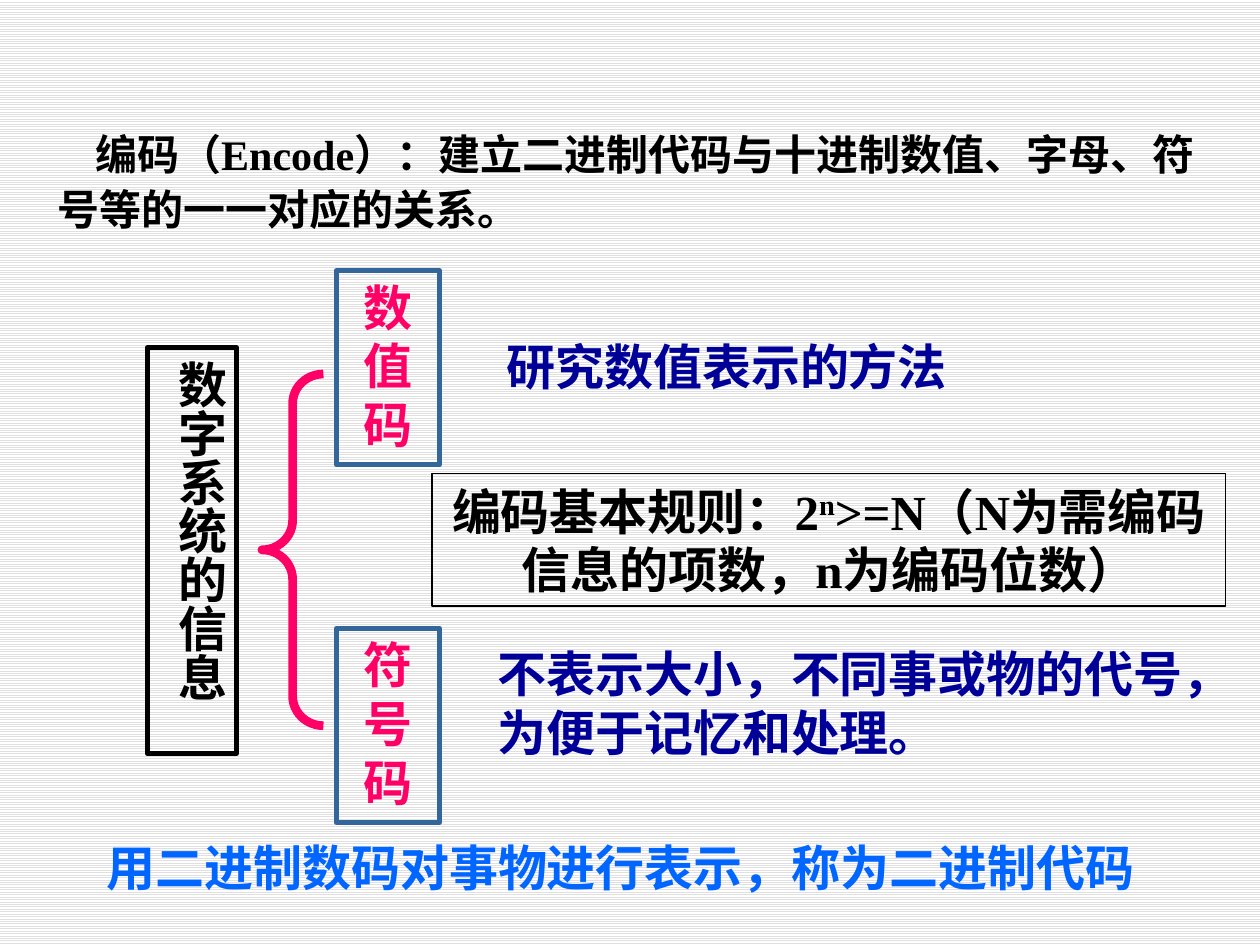
from dataclasses import dataclass
from typing import Optional

from pptx import Presentation
from pptx.dml.color import RGBColor
from pptx.enum.dml import MSO_PATTERN
from pptx.enum.shapes import MSO_SHAPE
from pptx.enum.text import MSO_ANCHOR, MSO_AUTO_SIZE, PP_ALIGN
from pptx.util import Cm, Pt

BLACK = RGBColor(0x00, 0x00, 0x00)
WHITE = RGBColor(0xFF, 0xFF, 0xFF)
STRIPE = RGBColor(0xE0, 0xE0, 0xE0)
PINK = RGBColor(0xFF, 0x00, 0x66)
STEEL = RGBColor(0x33, 0x66, 0x99)
NAVY = RGBColor(0x00, 0x00, 0x99)
BLUE = RGBColor(0x00, 0x66, 0xFF)

SERIF = "Times New Roman"
SANS = "Arial"
CHINESE = "Noto Sans CJK SC"
BODY = "Lato"


@dataclass(frozen=True)
class Area:
    left: float
    top: float
    width: float
    height: float

    def lengths(self) -> tuple:
        return Cm(self.left), Cm(self.top), Cm(self.width), Cm(self.height)


@dataclass(frozen=True)
class Piece:
    text: str
    font: Optional[str] = None
    superscript: bool = False


@dataclass(frozen=True)
class Frame:
    area: Area
    pieces: tuple[Piece, ...]
    color: RGBColor
    border: RGBColor
    border_width: float = 3
    vertical: bool = False
    anchor: MSO_ANCHOR = MSO_ANCHOR.TOP


@dataclass(frozen=True)
class Note:
    area: Area
    pieces: tuple[Piece, ...]
    color: RGBColor
    font: str
    size: float = 28
    indent: float = 0
    line_spacing: float = 1.0


CODE_LEFT, CODE_WIDTH, CODE_HEIGHT = 6.78, 2.08, 3.91

FRAMES = (
    Frame(Area(2.97, 7.01, 1.8, 8.18), (Piece("数字系统的信息"),), BLACK, BLACK, vertical=True),
    Frame(Area(CODE_LEFT, 5.46, CODE_WIDTH, CODE_HEIGHT), (Piece("数值码"),), PINK, STEEL),
    Frame(Area(CODE_LEFT, 12.67, CODE_WIDTH, CODE_HEIGHT), (Piece("符号码"),), PINK, STEEL),
    Frame(
        Area(8.71, 9.55, 16, 2.67),
        (
            Piece("编码基本规则：2"),
            Piece("n", superscript=True),
            Piece(">=N（N为需编码信息的项数，n为编码位数）"),
        ),
        BLACK,
        BLACK,
        border_width=0.75,
        anchor=MSO_ANCHOR.MIDDLE,
    ),
)

NOTES = (
    Note(
        Area(0.91, 2.36, 23.7, 2.49),
        (
            Piece("编码（"),
            Piece("Encode", SERIF),
            Piece("）："),
            Piece("建立二进制代码与十进制数值、字母、符号等的一一对应的关系。", BODY),
        ),
        BLACK,
        CHINESE,
        size=24,
        indent=0.76,
        line_spacing=1.1,
    ),
    Note(Area(9.96, 6.65, 10.13, 1.45), (Piece("研究数值表示的方法"),), NAVY, CHINESE),
    Note(
        Area(9.78, 12.85, 14.48, 2.62),
        (Piece("不表示大小，不同事或物的代号，为便于记忆和处理。"),),
        NAVY,
        SANS,
    ),
    Note(
        Area(1.9, 16.76, 21.59, 1.45),
        (Piece("用二进制数码对事物进行表示，称为二进制代码"),),
        BLUE,
        SANS,
    ),
)


def write(paragraph, pieces: tuple[Piece, ...], font: str, size: float, color: RGBColor) -> None:
    for piece in pieces:
        run = paragraph.add_run()
        run.text = piece.text
        if piece.font:
            run.font.name = piece.font
        if piece.superscript:
            run._r.get_or_add_rPr().set("baseline", "30000")
    paragraph.font.name = font
    paragraph.font.size = Pt(size)
    paragraph.font.bold = True
    paragraph.font.color.rgb = color


def add_outline(slide, kind: MSO_SHAPE, area: Area, color: RGBColor, width: float):
    shape = slide.shapes.add_shape(kind, *area.lengths())
    shape.shadow.inherit = False
    shape.fill.background()
    shape.line.color.rgb = color
    shape.line.width = Pt(width)
    return shape


def add_frame(slide, frame: Frame) -> None:
    shape = add_outline(slide, MSO_SHAPE.RECTANGLE, frame.area, frame.border, frame.border_width)
    text_frame = shape.text_frame
    text_frame.word_wrap = True
    text_frame.auto_size = MSO_AUTO_SIZE.SHAPE_TO_FIT_TEXT
    text_frame.vertical_anchor = frame.anchor
    if frame.vertical:
        text_frame._txBody.bodyPr.set("vert", "eaVert")
    paragraph = text_frame.paragraphs[0]
    paragraph.alignment = PP_ALIGN.CENTER
    write(paragraph, frame.pieces, SERIF, 28, frame.color)


def add_note(slide, note: Note) -> None:
    text_frame = slide.shapes.add_textbox(*note.area.lengths()).text_frame
    text_frame.word_wrap = True
    text_frame.auto_size = MSO_AUTO_SIZE.SHAPE_TO_FIT_TEXT
    paragraph = text_frame.paragraphs[0]
    paragraph.line_spacing = note.line_spacing
    if note.indent:
        paragraph._p.get_or_add_pPr().set("indent", str(Cm(note.indent)))
    write(paragraph, note.pieces, note.font, note.size, note.color)


def main() -> None:
    presentation = Presentation()
    presentation.slide_width = Cm(25.4)
    presentation.slide_height = Cm(19.05)
    slide = presentation.slides.add_slide(presentation.slide_layouts[6])

    background = slide.background.fill
    background.patterned()
    background.pattern = MSO_PATTERN.LIGHT_HORIZONTAL
    background.fore_color.rgb = STRIPE
    background.back_color.rgb = WHITE

    brace = add_outline(slide, MSO_SHAPE.LEFT_BRACE, Area(5.28, 7.54, 1.24, 7.09), PINK, 5)
    brace.adjustments[0] = 0.48
    brace.adjustments[1] = 0.5

    for frame in FRAMES:
        add_frame(slide, frame)
    for note in NOTES:
        add_note(slide, note)

    presentation.save("out.pptx")


if __name__ == "__main__":
    main()
